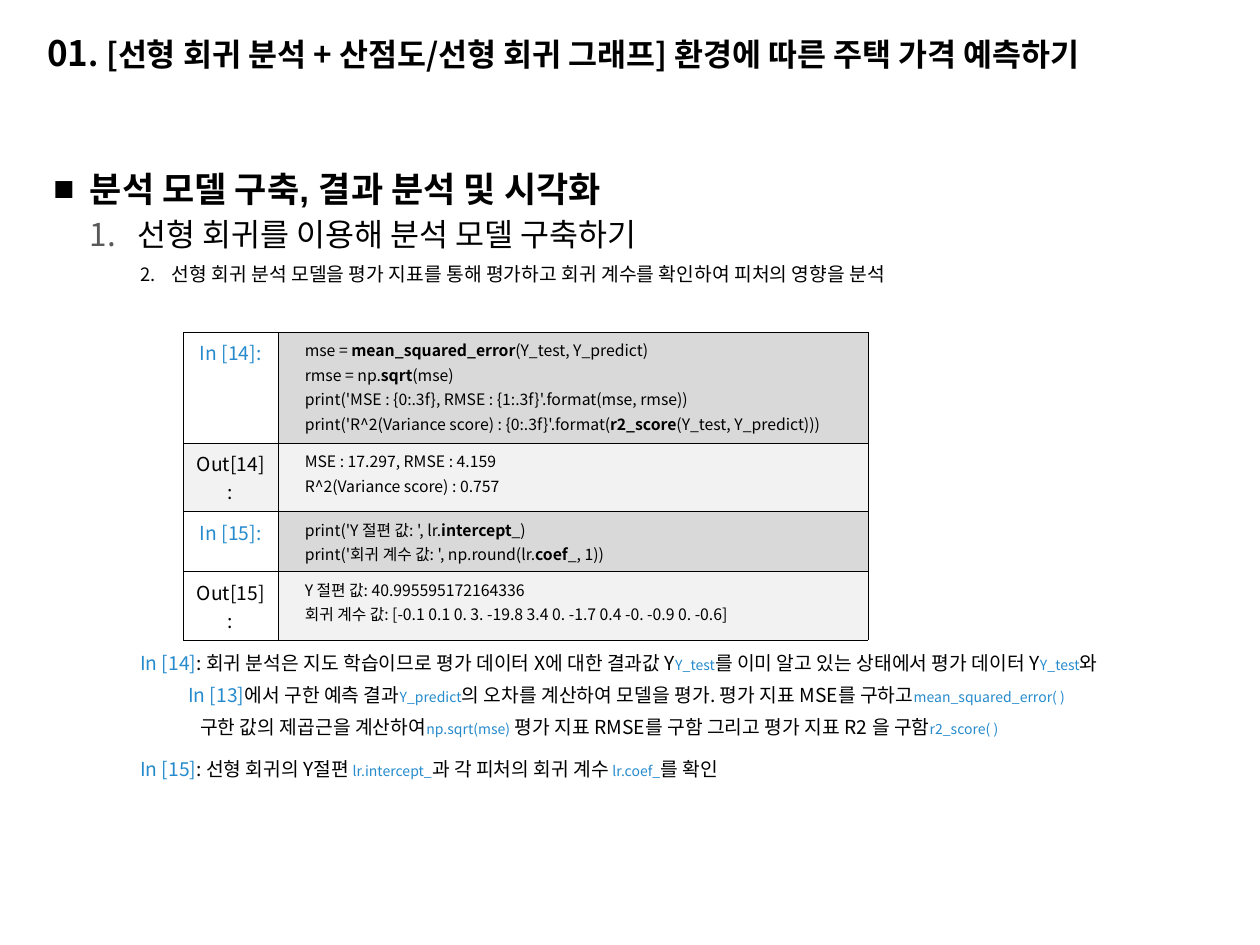
from lxml import etree
from pptx import Presentation
from pptx.dml.color import RGBColor
from pptx.enum.text import MSO_ANCHOR, MSO_AUTO_SIZE, PP_ALIGN
from pptx.oxml.ns import qn
from pptx.util import Cm, Pt

LEFT, CENTER = PP_ALIGN.LEFT, PP_ALIGN.CENTER
TOP, MIDDLE = MSO_ANCHOR.TOP, MSO_ANCHOR.MIDDLE
NO_AUTOFIT = MSO_AUTO_SIZE.NONE

COLORS = {
    "text": "000000", "accent": "258BCD", "number": "595959",
    "white": "FFFFFF", "code": "D9D9D9", "output": "F2F2F2",
}
FONT = "Noto Sans CJK KR"


class SlideBuilder:
    def __init__(self, slide):
        self.slide = slide

    def run(self, paragraph, text, size, color="text", bold=False, font=FONT):
        run = paragraph.add_run()
        run.text = text
        run.font.size = Pt(size)
        run.font.bold = bold
        run.font.name = font
        run.font.color.rgb = RGBColor.from_string(COLORS[color])
        properties = run.font._element
        properties.set("kern", "0")
        east_asian = etree.Element(qn("a:ea"), typeface=FONT)
        properties.find(qn("a:latin")).addnext(east_asian)

    def paragraph(self, frame, runs, before=0, margin=0, indent=0, level=0,
                  align=LEFT, spacing=1.0, bullet=()):
        """Add a paragraph; bullet is a list of (tag, attributes)."""
        first = frame.paragraphs[0]
        paragraph = first if not first.runs else frame.add_paragraph()
        paragraph.level = level
        paragraph.alignment = align
        paragraph.line_spacing = spacing
        paragraph.space_before = Pt(before)
        paragraph.space_after = Pt(0)
        properties = paragraph._p.get_or_add_pPr()
        properties.set("marL", str(Cm(margin)))
        properties.set("indent", str(Cm(indent)))
        for tag, attributes in bullet or [("buNone", {})]:
            element = etree.SubElement(properties, qn("a:" + tag), attributes)
            if tag == "buClr":
                etree.SubElement(element, qn("a:srgbClr"), val=COLORS["number"])
        for run in runs:
            self.run(paragraph, *run)

    def placeholder(self, index, left, top, width, height, anchor):
        holder = self.slide.placeholders[index]
        holder.left, holder.top = Cm(left), Cm(top)
        holder.width, holder.height = Cm(width), Cm(height)
        frame = holder.text_frame
        frame.word_wrap = True
        frame.auto_size = NO_AUTOFIT
        frame.vertical_anchor = anchor
        return frame

    def cell(self, cell, fill):
        properties = cell._tc.get_or_add_tcPr()
        for side in ("lnL", "lnR", "lnT", "lnB"):
            line = etree.SubElement(properties, qn("a:" + side), w=str(Pt(0.25)))
            color = etree.SubElement(line, qn("a:solidFill"))
            etree.SubElement(color, qn("a:srgbClr"), val=COLORS["text"])
        cell.fill.solid()
        cell.fill.fore_color.rgb = RGBColor.from_string(COLORS[fill])
        return cell.text_frame

    def notebook(self, left, top, widths, heights, rows):
        table = self.slide.shapes.add_table(
            len(rows), len(widths), Cm(left), Cm(top),
            Cm(sum(widths)), Cm(sum(heights))).table
        for column, width in zip(table.columns, widths):
            column.width = Cm(width)
        for index, (label, label_fill, lines) in enumerate(rows):
            table.rows[index].height = Cm(heights[index])
            is_input = label.startswith("In")
            prompt = self.cell(table.cell(index, 0), label_fill)
            self.paragraph(prompt, [(label, 11, "accent" if is_input else "text")],
                           align=CENTER)
            code = self.cell(table.cell(index, 1), "code" if is_input else "output")
            for number, parts in enumerate(lines):
                # Every second part of a line is bold
                runs = [(part, 9, "text", position % 2 == 1)
                        for position, part in enumerate(parts)]
                self.paragraph(code, runs, before=1 if number else 0, margin=0.29)


NOTEBOOK = [
    ("In [14]:", "white", [
        ["mse = ", "mean_squared_error", "(Y_test, Y_predict)"],
        ["rmse = np.", "sqrt", "(mse)"],
        ["print('MSE : {0:.3f}, RMSE : {1:.3f}'.format(mse, rmse))"],
        ["print('R^2(Variance score) : {0:.3f}'.format(", "r2_score",
         "(Y_test, Y_predict)))"]]),
    ("Out[14]:", "output", [
        ["MSE : 17.297, RMSE : 4.159"],
        ["R^2(Variance score) : 0.757"]]),
    ("In [15]:", "white", [
        ["print('Y 절편 값: ', lr.", "intercept", "_)"],
        ["print('회귀 계수 값: ', np.round(lr.", "coef", "_, 1))"]]),
    ("Out[15]:", "white", [
        ["Y 절편 값: 40.995595172164336"],
        ["회귀 계수 값: [-0.1 0.1 0. 3. -19.8 3.4 0. -1.7 0.4 -0. -0.9 0. -0.6]"]]),
]

# Explanations: space before, left margin, runs
EXPLANATIONS = [
    (208.7, 1.75, [
        ("In [14]", 11, "accent"),
        (": 회귀 분석은 지도 학습이므로 평가 데이터 X에 대한 결과값 Y", 11),
        ("Y_test", 8, "accent"),
        ("를 이미 알고 있는 상태에서 평가 데이터 Y", 11),
        ("Y_test", 8, "accent"),
        ("와", 11)]),
    (5.2, 2.72, [
        ("In [13]", 11, "accent"),
        ("에서 구한 예측 결과", 11),
        ("Y_predict", 8, "accent"),
        ("의 오차를 계산하여 모델을 평가. 평가 지표 MSE를 구하고", 11),
        ("mean_squared_error( )", 8, "accent")]),
    (5.2, 2.96, [
        ("구한 값의 제곱근을 계산하여", 11),
        ("np.sqrt(mse)", 8, "accent"),
        (" 평가 지표 RMSE를 구함 그리고 평가 지표 R2 을 구함", 11),
        ("r2_score( )", 8, "accent")]),
    (10.7, 1.75, [
        ("In [15]", 11, "accent"),
        (": 선형 회귀의 Y절편", 11),
        (" lr.intercept_", 8, "accent"),
        ("과 각 피처의 회귀 계수", 11),
        (" lr.coef_", 8, "accent"),
        ("를 확인", 11)]),
]


def main():
    presentation = Presentation()
    presentation.slide_width, presentation.slide_height = Cm(25.4), Cm(19.05)
    layout = presentation.slide_layouts[1]
    builder = SlideBuilder(presentation.slides.add_slide(layout))

    # Title
    title = builder.placeholder(0, 0.7, 0.3, 24, 1.52, MIDDLE)
    builder.paragraph(title, [
        ("01", 20, "text", True),
        (". [선형 회귀 분석 + 산점도/선형 회귀 그래프] 환경에 따른 주택 가격 예측하기",
         18, "text", True)])

    # Headings
    body = builder.placeholder(1, 0.82, 2.82, 24, 15.19, TOP)
    builder.paragraph(
        body, [("분석 모델 구축, 결과 분석 및 시각화", 20, "text", True, "Arial")],
        margin=0.74, indent=-0.74, spacing=1.5, bullet=[("buChar", {"char": "■"})])
    builder.paragraph(
        body, [("선형 회귀를 이용해 분석 모델 구축하기", 18)],
        before=3.6, level=1, margin=1.7, indent=-0.96,
        bullet=[("buClr", {}), ("buFont", {"typeface": FONT}),
                ("buAutoNum", {"type": "arabicPeriod"})])
    builder.paragraph(
        body, [("선형 회귀 분석 모델을 평가 지표를 통해 평가하고 회귀 계수를 확인하여 "
                "피처의 영향을 분석", 11)],
        before=5.3, level=3, margin=2.39, indent=-0.64,
        bullet=[("buSzPct", {"val": "96000"}), ("buFont", {"typeface": FONT}),
                ("buAutoNum", {"type": "arabicPeriod", "startAt": "2"})])

    # Explanations below the notebook
    for before, margin, runs in EXPLANATIONS:
        builder.paragraph(body, runs, before=before, level=3, margin=margin)

    # Notebook cells
    builder.notebook(3.7, 6.69, [1.9, 11.9], [2.24, 1.37, 1.18, 1.37], NOTEBOOK)

    presentation.save("out.pptx")


if __name__ == "__main__":
    main()
